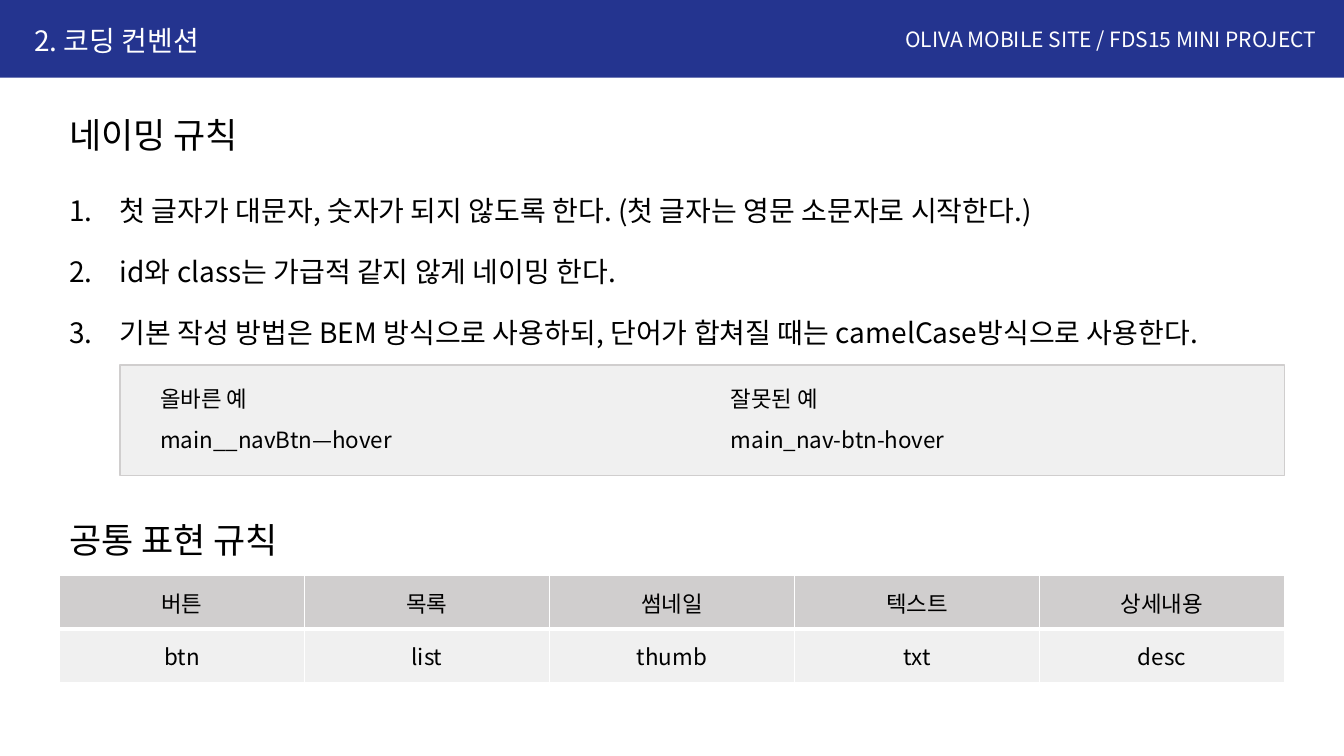
from lxml import etree
from pptx import Presentation
from pptx import util as u
from pptx.dml.color import RGBColor
from pptx.enum import shapes, text
from pptx.oxml.ns import qn

FONT = "Noto Sans CJK KR"
HUES = {"navy": "24348F", "white": "FFFFFF", "black": "000000",
        "gray": "D0CECE", "pale": "F0F0F0"}
LEFT, WIDTH = 0.59, 12.15

RULES = [
    "첫 글자가 대문자, 숫자가 되지 않도록 한다. (첫 글자는 영문 소문자로 시작한다.)",
    "id와 class는 가급적 같지 않게 네이밍 한다.",
    "기본 작성 방법은 BEM 방식으로 사용하되, 단어가 합쳐질 때는 camelCase방식으로 사용한다.",
]
SAMPLES = [(1.49, ["올바른 예", "main__navBtn—hover"]),
           (7.15, ["잘못된 예", "main_nav-btn-hover"])]
TERMS = [["버튼", "목록", "썸네일", "텍스트", "상세내용"],
         ["btn", "list", "thumb", "txt", "desc"]]


def hue(name):
    return RGBColor.from_string(HUES[name])


def add_run(para, words, size, color="black"):
    run = para.add_run()
    run.text = words
    run.font.size = u.Pt(size)
    run.font.name = FONT
    run.font.color.rgb = hue(color)
    # East Asian typeface for the Korean text
    face = etree.SubElement(run.font._element, qn("a:ea"))
    face.set("typeface", FONT)


def add_text(slide, box, lines, size, color="black", gap=10, lead=None,
             wrap=True, anchor=text.MSO_ANCHOR.TOP, numbered=False):
    frame = slide.shapes.add_textbox(*map(u.Inches, box)).text_frame
    frame.word_wrap = wrap
    frame.vertical_anchor = anchor
    for i, line in enumerate(lines):
        para = frame.add_paragraph() if i else frame.paragraphs[0]
        para.space_before = u.Pt(gap)
        if lead:
            para.line_spacing = lead
        if numbered:
            props = para._p.get_or_add_pPr()
            props.set("marL", str(u.Inches(0.5)))
            props.set("indent", str(u.Inches(-0.5)))
            for tag, key, value in [("a:buFont", "typeface", FONT),
                                    ("a:buAutoNum", "type", "arabicPeriod")]:
                etree.SubElement(props, qn(tag)).set(key, value)
        add_run(para, line, size, color)


def add_rect(slide, box, fill, line=None):
    rect = slide.shapes.add_shape(shapes.MSO_SHAPE.RECTANGLE,
                                  *map(u.Inches, box))
    rect.shadow.inherit = False
    rect.fill.solid()
    rect.fill.fore_color.rgb = hue(fill)
    if line:
        rect.line.color.rgb = hue(line)
        rect.line.width = u.Pt(1)
    else:
        rect.line.fill.background()


def add_edges(cell, widths):
    props = cell._tc.get_or_add_tcPr()
    for i, (side, width) in enumerate(widths.items()):
        edge = etree.Element(qn("a:ln" + side), w=str(u.Pt(width)))
        fill = etree.SubElement(edge, qn("a:solidFill"))
        etree.SubElement(fill, qn("a:srgbClr")).set("val", HUES["white"])
        props.insert(i, edge)


def add_grid(slide, box, rows):
    grid = slide.shapes.add_table(len(rows), len(rows[0]),
                                  *map(u.Inches, box)).table
    grid.first_row = grid.horz_banding = False
    for r, row in enumerate(rows):
        for c, word in enumerate(row):
            cell = grid.cell(r, c)
            cell.fill.solid()
            cell.fill.fore_color.rgb = hue("pale" if r else "gray")
            cell.vertical_anchor = text.MSO_ANCHOR.MIDDLE
            para = cell.text_frame.paragraphs[0]
            para.alignment = text.PP_ALIGN.CENTER
            add_run(para, word, 16)
            # Thick rule between the header and the body
            add_edges(cell, {"L": 1, "R": 1, "T": 3 if r else 1,
                             "B": 1 if r else 3})


def main():
    deck = Presentation()
    deck.slide_width, deck.slide_height = u.Inches(13.33), u.Inches(7.5)
    slide = deck.slides.add_slide(deck.slide_layouts[6])

    # Header band
    add_rect(slide, (0, 0, 13.33, 0.77), "navy")
    add_text(slide, (8.88, 0.21, 4.38, 0.35),
             ["OLIVA MOBILE SITE / FDS15 MINI PROJECT"], 15, "white",
             gap=0, wrap=False)
    add_text(slide, (0.24, 0.14, 7.13, 0.56), ["2. 코딩 컨벤션"], 20, "white",
             lead=0.9, anchor=text.MSO_ANCHOR.MIDDLE)

    # Naming rules
    add_text(slide, (LEFT, 1.12, WIDTH, 0.56), ["네이밍 규칙"], 25, lead=0.9)
    add_text(slide, (LEFT, 1.74, WIDTH, 2.01), RULES, 20, lead=1.4,
             numbered=True)

    # Right and wrong samples
    add_rect(slide, (1.19, 3.62, 11.55, 1.1), "pale", "gray")
    for left, lines in SAMPLES:
        add_text(slide, (left, 3.77, 5.29, 0.8), lines, 16)

    # Common terms
    add_text(slide, (LEFT, 5.14, WIDTH, 0.56), ["공통 표현 규칙"], 25, lead=0.9)
    add_grid(slide, (LEFT, 5.71, WIDTH, 1.06), TERMS)

    deck.save("out.pptx")


if __name__ == "__main__":
    main()
